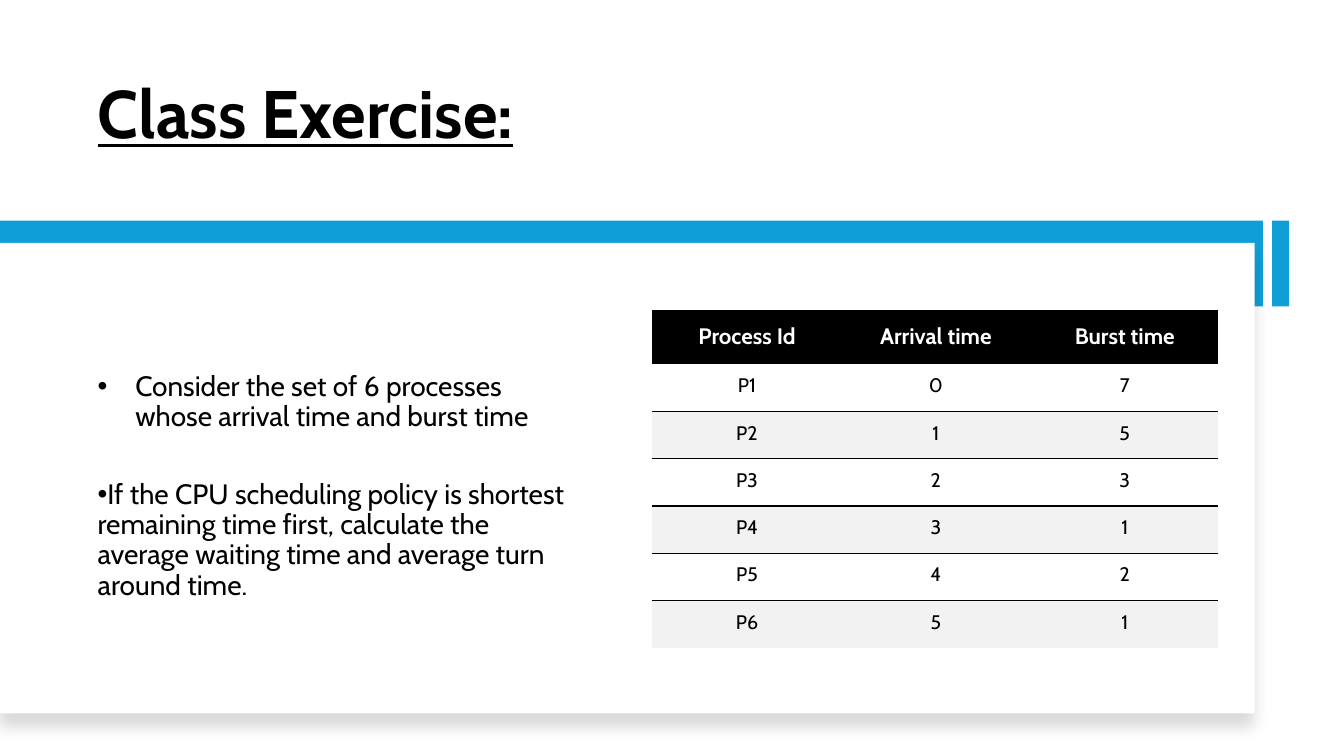
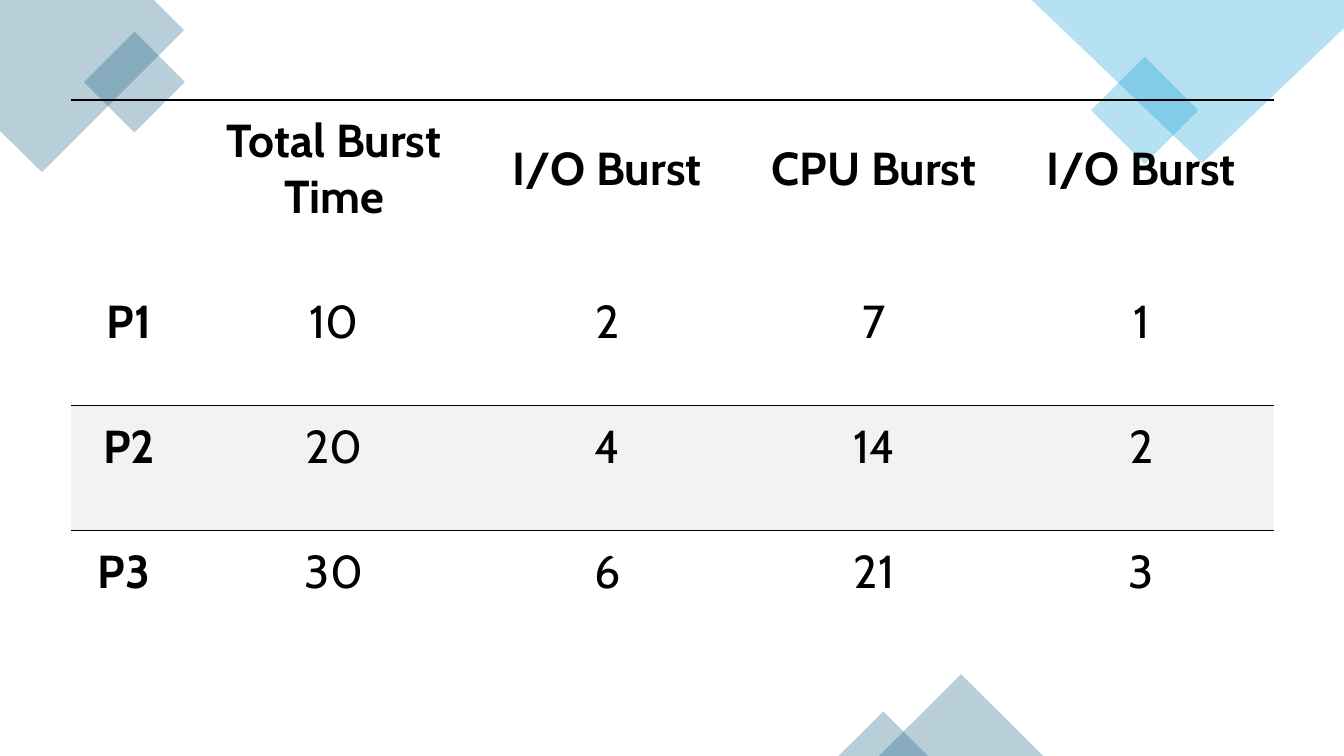
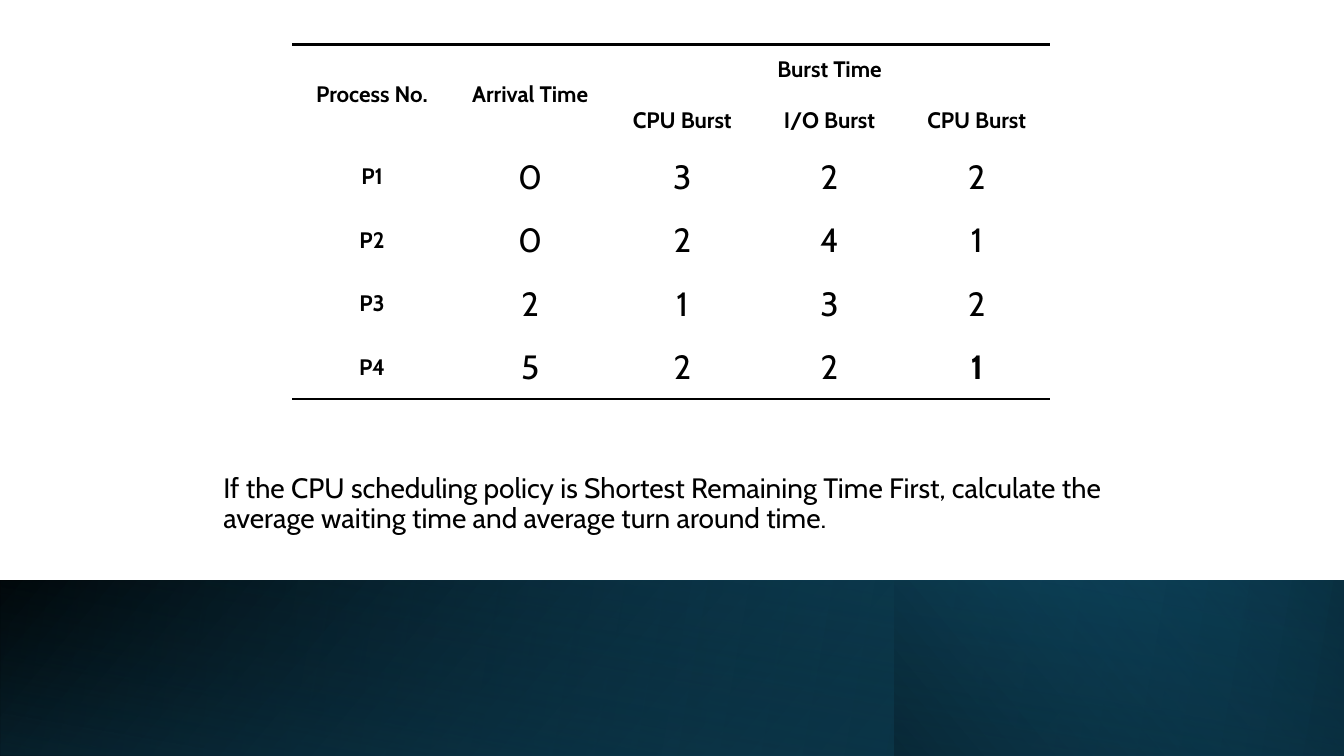
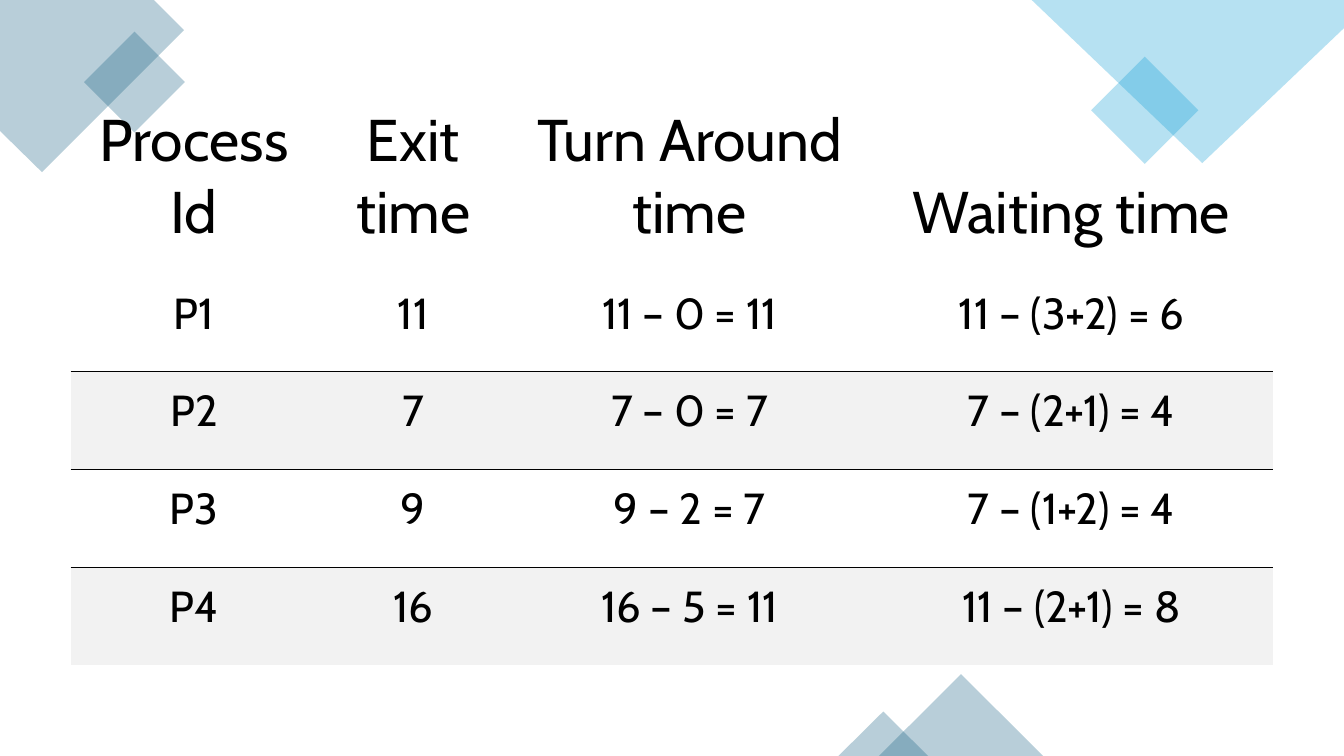
"""Build four slides of CPU scheduling exercises."""
from dataclasses import dataclass

from pptx import Presentation
from pptx.dml.color import RGBColor
from pptx.enum.shapes import MSO_SHAPE as SHAPE
from pptx.enum.text import MSO_ANCHOR as ANCHOR, PP_ALIGN as ALIGN
from pptx.oxml import parse_xml
from pptx.oxml.ns import nsdecls, qn
from pptx.util import Cm, Pt


@dataclass(frozen=True)
class Theme:
    """Colours, font and type sizes of the deck."""
    font: str = "Cabin"
    ink: str = "000000"
    paper: str = "FFFFFF"
    stripe: str = "F2F2F2"
    blue: str = "0F9ED5"
    teal: str = "156082"
    navy: str = "0B3041"
    tint: int = 30
    title: int = 48
    body: int = 20
    label: int = 16
    small: int = 14
    digit: int = 24
    large: int = 33
    heading: int = 42
    result: int = 31


T = Theme()
WIDTH, HEIGHT = 33.87, 19.05
NO_GRID = "{2D5ABB26-0587-4C30-8999-92F81FD0307C}"


def rgb(color):
    """Turn a hex string into a colour."""
    return RGBColor.from_string(color)


def xml(markup):
    """Parse one DrawingML element."""
    head, rest = markup.split(">", 1)
    close = "/" if head.endswith("/") else ""
    return parse_xml(f"{head.rstrip('/')} {nsdecls('a')}{close}>{rest}")


def color_xml(color, alpha=100):
    """Return the markup of a colour with opacity."""
    return f'<a:srgbClr val="{color}"><a:alpha val="{alpha * 1000}"/></a:srgbClr>'


def write(p, text, *, size=T.body, color=T.ink, bold=False, underline=False,
          align=None, spacing=None, before=None, after=None, bullet=None):
    """Write formatted text into a paragraph; bullet is (margin, indent) in cm."""
    if bullet:
        ppr = p._p.get_or_add_pPr()
        ppr.set("marL", str(Cm(bullet[0])))
        ppr.set("indent", str(Cm(bullet[1])))
        ppr.append(xml('<a:buFont typeface="Arial"/>'))
        ppr.append(xml('<a:buChar char="•"/>'))
    p.alignment, p.line_spacing = align, spacing
    p.space_before, p.space_after = before, after
    r = p.add_run()
    r.text = text
    r.font.name, r.font.size = T.font, Pt(size)
    r.font.bold, r.font.underline = bold, underline
    r.font.color.rgb = rgb(color)


def add_text(s, x, y, w, h, items, anchor=ANCHOR.MIDDLE):
    """Add a text box from (text, format) pairs."""
    tf = s.shapes.add_textbox(Cm(x), Cm(y), Cm(w), Cm(h)).text_frame
    tf.word_wrap, tf.vertical_anchor = True, anchor
    for i, (text, fmt) in enumerate(items):
        p = tf.add_paragraph() if i else tf.paragraphs[0]
        write(p, text, spacing=0.9, **fmt)


def paint(sp, color, alpha=100):
    """Give a shape a plain fill, no line and no shadow."""
    sp.shadow.inherit = False
    sp.line.fill.background()
    sp.fill.solid()
    sp.fill.fore_color.rgb = rgb(color)
    if alpha < 100:
        clr = sp.element.spPr.find(".//" + qn("a:srgbClr"))
        clr.append(xml(f'<a:alpha val="{alpha * 1000}"/>'))
    return sp


def add_shape(s, kind, x, y, w, h, color, alpha=100):
    """Add a painted preset shape."""
    sp = s.shapes.add_shape(kind, Cm(x), Cm(y), Cm(w), Cm(h))
    return paint(sp, color, alpha)


def add_polygon(s, points, color, alpha=100):
    """Add a painted closed outline."""
    start, *rest = [(Cm(x), Cm(y)) for x, y in points]
    builder = s.shapes.build_freeform(*start)
    builder.add_line_segments(rest, close=True)
    return paint(builder.convert_to_shape(), color, alpha)


def add_gradient(s, x, y, w, h, stops, angle, turned=False):
    """Add a gradient rectangle, mirrored or turned upside down."""
    sp = add_shape(s, SHAPE.RECTANGLE, x, y, w, h, T.navy)
    if turned:
        sp.rotation = 180
    else:
        sp.element.spPr.find(qn("a:xfrm")).set("flipH", "1")
    marks = "".join(f'<a:gs pos="{pos * 1000}">{color_xml(color, alpha)}</a:gs>'
                    for pos, color, alpha in stops)
    props = sp.element.spPr
    props.replace(props.find(qn("a:solidFill")), xml(
        f'<a:gradFill rotWithShape="1"><a:gsLst>{marks}</a:gsLst>'
        f'<a:lin ang="{angle * 60000}" scaled="0"/></a:gradFill>'))


def add_shadow(sp, alpha, blur, dist):
    """Cast a soft shadow straight down."""
    sp.element.spPr.find(qn("a:effectLst")).append(xml(
        f'<a:outerShdw blurRad="{Pt(blur)}" dist="{Pt(dist)}" dir="5400000" '
        f'algn="t" rotWithShape="0">{color_xml(T.ink, alpha)}</a:outerShdw>'))


def add_border(cell, side, width):
    """Draw a black rule on one side of a cell."""
    cell._tc.get_or_add_tcPr().append(xml(
        f'<a:ln{side} w="{Pt(width)}"><a:solidFill>{color_xml(T.ink)}'
        f'</a:solidFill></a:ln{side}>'))


def add_table(s, x, y, cols, heights, rows, *, head, body, lead=None, insets,
              head_insets=None, head_rows=1, head_anchor=ANCHOR.MIDDLE,
              rules=None, fills=None):
    """Add a table; rules maps row edges to widths and fills maps rows to colours."""
    gf = s.shapes.add_table(len(rows), len(cols), Cm(x), Cm(y),
                            Cm(sum(cols)), Cm(sum(heights)))
    tbl = gf.table
    tbl.first_row = tbl.horz_banding = False
    gf.element.find(".//" + qn("a:tableStyleId")).text = NO_GRID
    for col, w in zip(tbl.columns, cols):
        col.width = Cm(w)
    for row, h in zip(tbl.rows, heights):
        row.height = Cm(h)
    rules, fills = rules or {}, fills or {}
    for i, values in enumerate(rows):
        is_head = i < head_rows
        sides = (head_insets or insets) if is_head else insets
        for j, value in enumerate(values):
            cell = tbl.cell(i, j)
            (cell.margin_left, cell.margin_top,
             cell.margin_right, cell.margin_bottom) = map(Cm, sides)
            cell.vertical_anchor = head_anchor if is_head else ANCHOR.MIDDLE
            for side, edge in (("T", i), ("B", i + 1)):
                if edge in rules:
                    add_border(cell, side, rules[edge])
            if i in fills:
                cell.fill.solid()
                cell.fill.fore_color.rgb = rgb(fills[i])
            else:
                cell.fill.background()
            if value:
                fmt = head if is_head else lead if lead and j == 0 else body
                write(cell.text_frame.paragraphs[0], value,
                      align=ALIGN.CENTER, **fmt)
    return tbl


def add_slide(prs):
    """Add a blank white slide."""
    s = prs.slides.add_slide(prs.slide_layouts[6])
    s.background.fill.solid()
    s.background.fill.fore_color.rgb = rgb(T.paper)
    return s


def add_corners(s):
    """Add the tinted corner shapes of the table slides."""
    add_polygon(s, [(0, 0), (3.88, 0), (4.64, 0.76), (1.06, 4.34), (0, 3.3)],
                T.teal, T.tint)
    add_polygon(s, [(26, 0), (WIDTH, 0), (WIDTH, 0.71), (30.3, 4.11)],
                T.blue, T.tint)
    for kind, x, y, w, h, color in [
            (SHAPE.DIAMOND, 2.12, 0.8, 2.54, 2.54, T.teal),
            (SHAPE.DIAMOND, 27.5, 1.43, 2.7, 2.7, T.blue),
            (SHAPE.ISOSCELES_TRIANGLE, 22.15, 16.99, 4.14, 2.06, T.teal),
            (SHAPE.ISOSCELES_TRIANGLE, 21.13, 17.93, 2.26, 1.12, T.teal)]:
        add_shape(s, kind, x, y, w, h, color, T.tint)


def exercise_slide(prs):
    """Build the class exercise."""
    s = add_slide(prs)
    add_text(s, 2.21, 1.07, 27.97, 2.92, [
        ("Class Exercise:", dict(size=T.title, bold=True, underline=True))],
        ANCHOR.BOTTOM)
    add_shape(s, SHAPE.RECTANGLE, 0, 5.56, 31.83, 2.16, T.blue)
    card = add_shape(s, SHAPE.RECTANGLE, 0, 6.12, 31.62, 11.86, T.paper)
    add_shadow(card, 15, 11, 10)
    add_shape(s, SHAPE.RECTANGLE, 32.06, 5.56, 0.43, 2.16, T.blue)
    add_text(s, 2.21, 7.21, 12.6, 10.11, [
        ("Consider the set of 6 processes whose arrival time and burst time",
         dict(bullet=(0.95, -0.95), after=Pt(6))),
        ("If the CPU scheduling policy is shortest remaining time first, "
         "calculate the average waiting time and average turn around time.",
         dict(bullet=(0, -0.64), before=Pt(28), after=Pt(6)))])
    add_table(
        s, 16.42, 7.8, [4.76] * 3, [1.38] + [1.19] * 6,
        [("Process Id", "Arrival time", "Burst time"),
         ("P1", "0", "7"), ("P2", "1", "5"), ("P3", "2", "3"),
         ("P4", "3", "1"), ("P5", "4", "2"), ("P6", "5", "1")],
        head=dict(size=T.label, color=T.paper, bold=True),
        body=dict(size=T.small),
        insets=(0.2, 0.2, 0.15, 0.3), head_insets=(0.2, 0.3, 0.15, 0.3),
        rules={2: 1, 4: 1, 6: 1},
        fills={0: T.ink, 2: T.stripe, 4: T.stripe, 6: T.stripe})


def burst_slide(prs):
    """Build the table of total, I/O and CPU bursts."""
    s = add_slide(prs)
    add_corners(s)
    bold = dict(size=T.large, bold=True)
    add_table(
        s, 1.78, 2.52, [3.1, 7.49, 6.27, 7.19, 6.27], [4.55] + [3.15] * 3,
        [("", "Total Burst Time", "I/O Burst", "CPU Burst", "I/O Burst"),
         (" P1", "10", "2", "7", "1"),
         (" P2", "20", "4", "14", "2"),
         ("P3", "30", "6", "21", "3")],
        head=bold, lead=bold, body=dict(size=T.large),
        insets=(0, 0.18, 0.41, 1.24),
        rules={0: 2.25, 2: 0.5}, fills={2: T.stripe})


def question_slide(prs):
    """Build the question with CPU and I/O bursts."""
    s = add_slide(prs)
    top, tall, part = 14.62, 4.43, 11.33
    for x, w, stops, angle, turned in [
            (0, WIDTH, [(0, T.ink, 100), (100, T.teal, 100)], 140, False),
            (0, WIDTH, [(0, T.teal, 0), (100, T.navy, 100)], 170, False),
            (WIDTH - part, part, [(0, T.navy, 100), (100, T.teal, 0)], 220, False),
            (0, WIDTH, [(0, T.ink, 0), (99, T.navy, 55)], 280, True)]:
        add_gradient(s, x, top, w, tall, stops, angle, turned)
    add_text(s, 5.38, 11.68, 23.14, 2.08, [
        ("If the CPU scheduling policy is Shortest Remaining Time First, "
         "calculate the average waiting time and average turn around time.", {})])
    bold = dict(size=T.label, bold=True)
    tbl = add_table(
        s, 7.37, 1.12, [4.01, 3.96] + [3.71] * 3, [1.27] * 2 + [1.6] * 4,
        [("Process No.", "Arrival Time", "Burst Time", "", ""),
         ("", "", "CPU Burst", "I/O Burst", "CPU Burst"),
         ("P1", "0", "3", "2", "2"), ("P2", "0", "2", "4", "1"),
         ("P3", "2", "1", "3", "2"), ("P4", "5", "2", "2", "1")],
        head=bold, lead=bold, body=dict(size=T.digit), head_rows=2,
        insets=(0.28, 0.23, 0.28, 0.23),
        rules={0: 2, 6: 2}, fills=dict.fromkeys(range(6), T.paper))
    for first, last in [((0, 0), (1, 0)), ((0, 1), (1, 1)), ((0, 2), (0, 4))]:
        tbl.cell(*first).merge(tbl.cell(*last))
    tbl.cell(5, 4).text_frame.paragraphs[0].runs[0].font.bold = True


def answer_slide(prs):
    """Build the table of exit, turn around and waiting times."""
    s = add_slide(prs)
    add_corners(s)
    add_table(
        s, 1.78, 2.31, [6.78, 4.27, 9.66, 9.58], [4.6] + [2.46] * 4,
        [("Process Id", "Exit time", "Turn Around time", "Waiting time"),
         ("P1", "11", "11 – 0 = 11", "11 – (3+2) = 6"),
         ("P2", "7", "7 – 0 = 7", "7 – (2+1) = 4"),
         ("P3", "9", "9 – 2 = 7", "7 – (1+2) = 4"),
         ("P4", "16", "16 – 5 = 11", "11 – (2+1) = 8")],
        head=dict(size=T.heading), body=dict(size=T.result),
        insets=(0, 0.2, 0.56, 0.66), head_insets=(0, 0.13, 0.56, 0.66),
        head_anchor=ANCHOR.BOTTOM,
        rules={2: 0.75, 4: 0.75}, fills={2: T.stripe, 4: T.stripe})


def main():
    """Build and save the deck."""
    prs = Presentation()
    prs.slide_width, prs.slide_height = Cm(WIDTH), Cm(HEIGHT)
    for build in (exercise_slide, burst_slide, question_slide, answer_slide):
        build(prs)
    prs.save("out.pptx")


if __name__ == "__main__":
    main()
